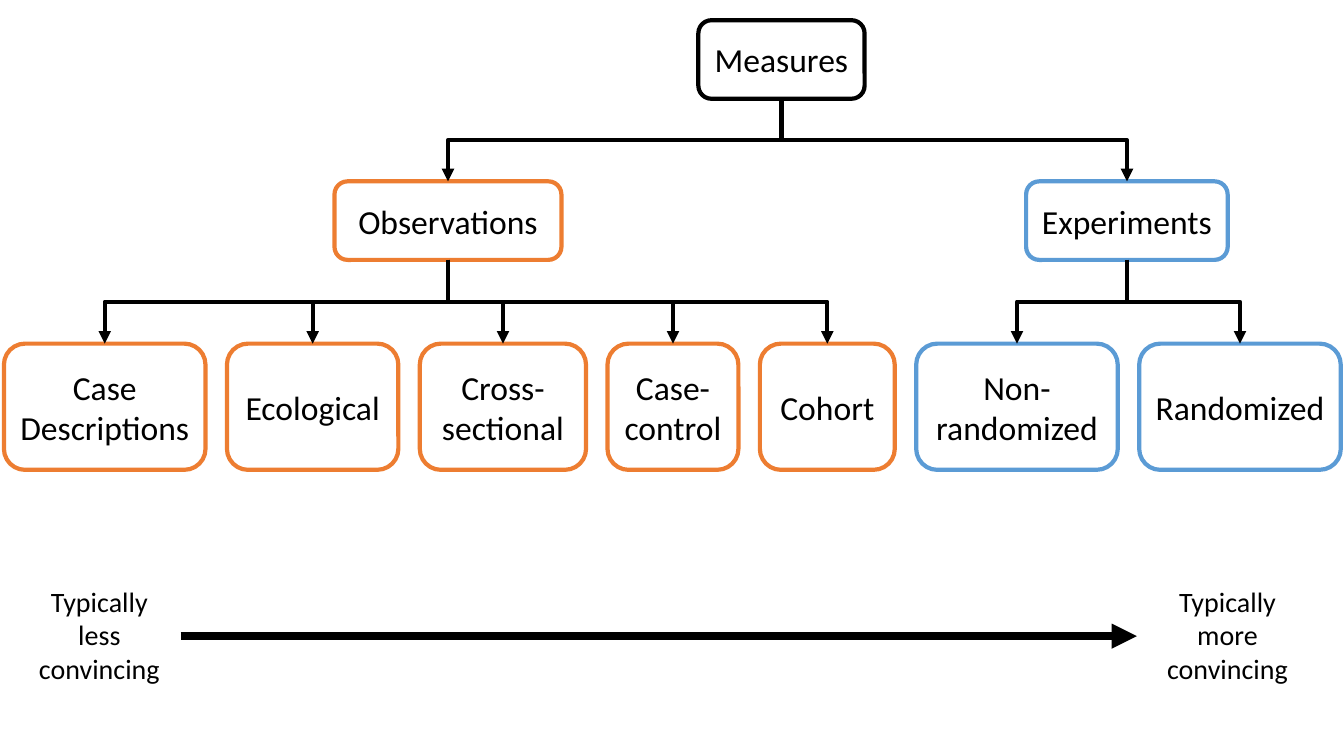
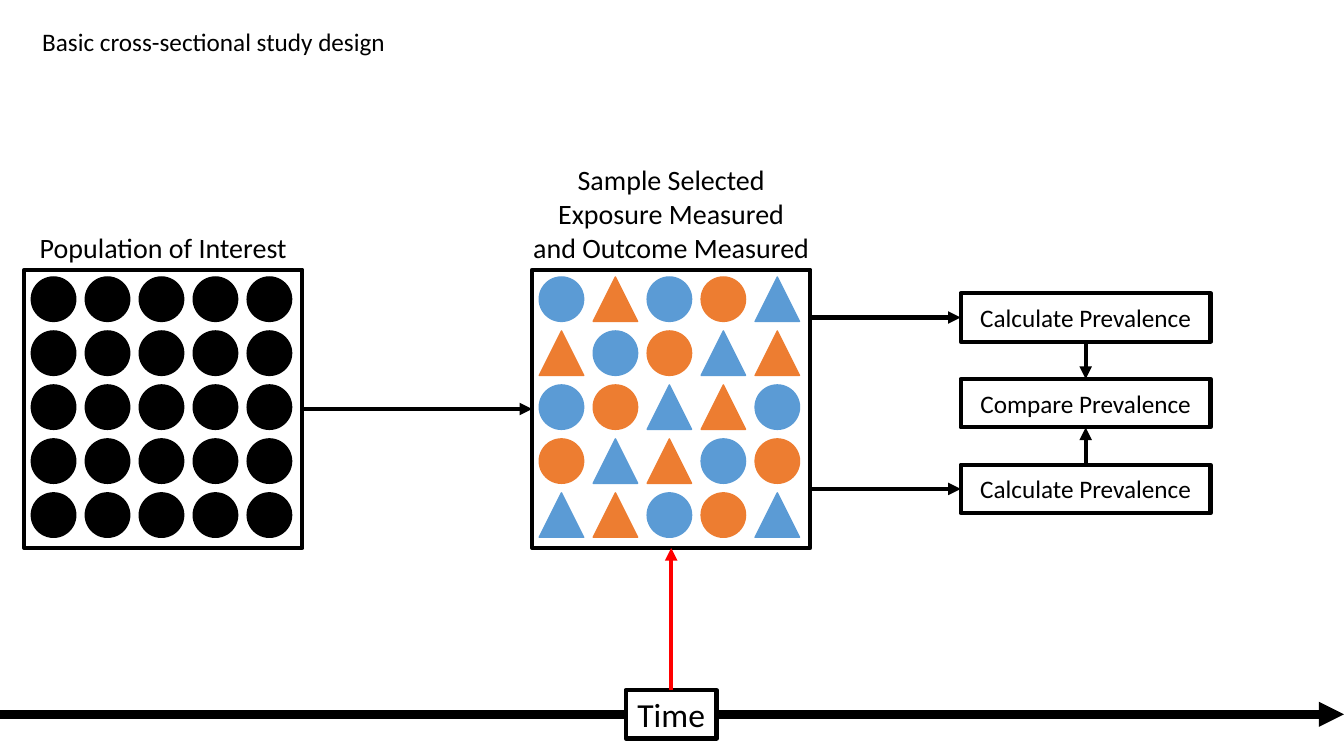
"""Two slides: a tree of study measures and a cross-sectional study design."""
from lxml import etree
from pptx import Presentation
from pptx.dml.color import RGBColor
from pptx.enum import shapes, text
from pptx.oxml.ns import qn
from pptx.util import Cm, Pt

BLACK, WHITE, RED = "000000", "FFFFFF", "FF0000"
ORANGE, BLUE = "ED7D31", "5B9BD5"
FONT = "Calibri"
KIND = shapes.MSO_SHAPE
ANCHOR = text.MSO_ANCHOR
TITLE_ONLY, BLANK = 5, 6
TOP, LEFT, BOTTOM, RIGHT = range(4)


def paint(color_format, color):
    """Set a colour from a hex string."""
    color_format.rgb = RGBColor.from_string(color)


class Deck:
    """The shared style and the slide being drawn."""

    def __init__(self, width, height):
        """Start an empty presentation of the given size in cm."""
        self.prs = Presentation()
        self.prs.slide_width, self.prs.slide_height = Cm(width), Cm(height)
        self.slide = None

    def new_slide(self, layout):
        """Add a slide and make it current."""
        self.slide = self.prs.slides.add_slide(self.prs.slide_layouts[layout])

    def set_words(self, holder, words, size, align=text.PP_ALIGN.CENTER, anchor=ANCHOR.MIDDLE):
        """Fill a shape with uniformly styled text."""
        frame = holder.text_frame
        frame.text = words
        frame.word_wrap = True
        frame.auto_size = text.MSO_AUTO_SIZE.NONE
        frame.vertical_anchor = anchor
        for paragraph in frame.paragraphs:
            paragraph.alignment = align
            paragraph.font.name, paragraph.font.size = FONT, Pt(size)
            paint(paragraph.font.color, BLACK)

    def title(self, words, left, top, width, height):
        """Place the small title at the upper left."""
        title = self.slide.shapes.title
        title.left, title.top, title.width, title.height = map(Cm, (left, top, width, height))
        self.set_words(title, words, 18, text.PP_ALIGN.LEFT, ANCHOR.TOP)

    def label(self, words, left, top, width, height, anchor=ANCHOR.TOP):
        """Add centred free text."""
        box = self.slide.shapes.add_textbox(*map(Cm, (left, top, width, height)))
        self.set_words(box, words, 20, anchor=anchor)

    def shape(self, kind, left, top, width, height, line=BLACK, weight=3, fill=None, parent=None):
        """Add an outlined shape to the slide or to a group."""
        owner = parent or self.slide
        shape = owner.shapes.add_shape(kind, *map(Cm, (left, top, width, height)))
        shape.shadow.inherit = False
        paint(shape.line.color, line)
        shape.line.width = Pt(weight)
        if fill:
            shape.fill.solid()
            paint(shape.fill.fore_color, fill)
        else:
            shape.fill.background()
        return shape

    def box(self, words, *place, kind=KIND.RECTANGLE, size=24, line=BLACK, fill=None):
        """Add an outlined box with centred text."""
        box = self.shape(kind, *place, line=line, fill=fill)
        self.set_words(box, words, size)
        return box

    def arrow(self, x1=0, y1=0, x2=0, y2=0, color=BLACK, weight=3, kind=shapes.MSO_CONNECTOR.STRAIGHT):
        """Add a line with an arrowhead at its end."""
        arrow = self.slide.shapes.add_connector(kind, *map(Cm, (x1, y1, x2, y2)))
        paint(arrow.line.color, color)
        arrow.line.width = Pt(weight)
        properties = arrow.element.spPr
        etree.SubElement(properties.find(qn("a:ln")), qn("a:tailEnd"), type="triangle")
        etree.SubElement(properties, qn("a:effectLst"))
        return arrow

    def link(self, start, start_site, end, end_site, **style):
        """Glue an arrow between the connection sites of two shapes."""
        arrow = self.arrow(**style)
        arrow.begin_connect(start, start_site)
        arrow.end_connect(end, end_site)
        return arrow

    def branch(self, parent, child):
        """Link a parent to a child below with a vertical-first elbow."""
        elbow = self.link(parent, BOTTOM, child, TOP, kind=shapes.MSO_CONNECTOR.ELBOW)
        x1, x2 = elbow.begin_x, elbow.end_x
        y1, y2 = elbow.begin_y, elbow.end_y
        drop, reach = y2 - y1, abs(x2 - x1)
        elbow.left, elbow.top = (x1 + x2 - drop) // 2, (y1 + y2 - reach) // 2
        elbow.width, elbow.height = drop, reach
        turn = elbow.element.spPr.xfrm
        turn.rot = 270 if x2 > x1 else 90
        turn.flipH, turn.flipV = x2 > x1, False

    def crowd(self, caption, left, top, rows):
        """Add a captioned frame of people and return the frame."""
        side, pitch, person, inset = 7.01, 1.36, 1.12, 0.18
        colors = {"k": BLACK, "b": BLUE, "o": ORANGE}
        group = self.slide.shapes.add_group_shape()
        frame = self.shape(KIND.RECTANGLE, left, top, side, side, parent=group)
        for r, row in enumerate(rows):
            for c, mark in enumerate(row):
                color = colors[mark.lower()]
                kind = KIND.ISOSCELES_TRIANGLE if mark.isupper() else KIND.OVAL
                self.shape(kind, left + inset + c * pitch, top + inset + r * pitch,
                           person, person, color, 1, color, group)
        self.label(caption, left - 0.5, top - 2.85, side + 1, 2.82, ANCHOR.BOTTOM)
        return frame


def measures_tree(deck):
    """Draw the tree of measures and the scale of conviction."""
    deck.new_slide(BLANK)
    rounded = KIND.ROUNDED_RECTANGLE
    measures = deck.box("Measures", 17.6, 0.51, 4.19, 1.98, kind=rounded)
    families = [
        ("Observations", 8.43, 5.72, ORANGE,
         [("Case\nDescriptions", 5.08), ("Ecological", 4.32), ("Cross-sectional", 4.19),
          ("Case-control", 3.3), ("Cohort", 3.4)]),
        ("Experiments", 25.86, 5.08, BLUE, [("Non-randomized", 5.08), ("Randomized", 5.08)]),
    ]
    gap, design_left = 0.54, 0.1
    for family, left, width, color, designs in families:
        parent = deck.box(family, left, 4.57, width, 1.98, kind=rounded, line=color)
        deck.branch(measures, parent)
        for design, design_width in designs:
            child = deck.box(design, design_left, 8.66, design_width, 3.18, kind=rounded, line=color)
            deck.branch(parent, child)
            design_left += design_width + gap
    for degree, left in (("less", 0.46), ("more", 28.89)):
        deck.label(f"Typically {degree} convincing", left, 14.6, 4.09, 2.82)
    deck.arrow(4.55, 16.03, 28.65, 16.03, weight=6)


def cross_sectional_design(deck):
    """Draw the flow from population to prevalence above a time line."""
    deck.new_slide(TITLE_ONLY)
    deck.title("Basic cross-sectional study design", 0.81, 0.53, 12, 1.02)
    population = deck.crowd("Population of Interest", 0.61, 6.8, ["kkkkk"] * 5)
    sample = deck.crowd("Sample Selected\nExposure Measured\nand Outcome Measured", 13.41, 6.8,
                        ["bOboB", "OboBO", "boBOb", "oBObo", "BOboB"])
    deck.link(population, RIGHT, sample, LEFT)

    steps = ["Calculate Prevalence", "Compare Prevalence", "Calculate Prevalence"]
    first, compare, second = [deck.box(step, 24.21, 7.39 + i * 2.16, 6.3, 1.22, size=18)
                              for i, step in enumerate(steps)]
    deck.link(first, BOTTOM, compare, TOP)
    deck.link(second, TOP, compare, BOTTOM)
    for y in (8, 12.32):
        deck.arrow(20.42, y, 24.21, y)

    deck.arrow(0, 18, 33.87, 18, weight=6)
    time = deck.box("Time", 15.77, 17.39, 2.29, 1.22, fill=WHITE)
    deck.link(time, TOP, sample, BOTTOM, color=RED)


def main():
    """Build and save both slides."""
    deck = Deck(33.87, 19.05)
    measures_tree(deck)
    cross_sectional_design(deck)
    deck.prs.save("out.pptx")


if __name__ == "__main__":
    main()
